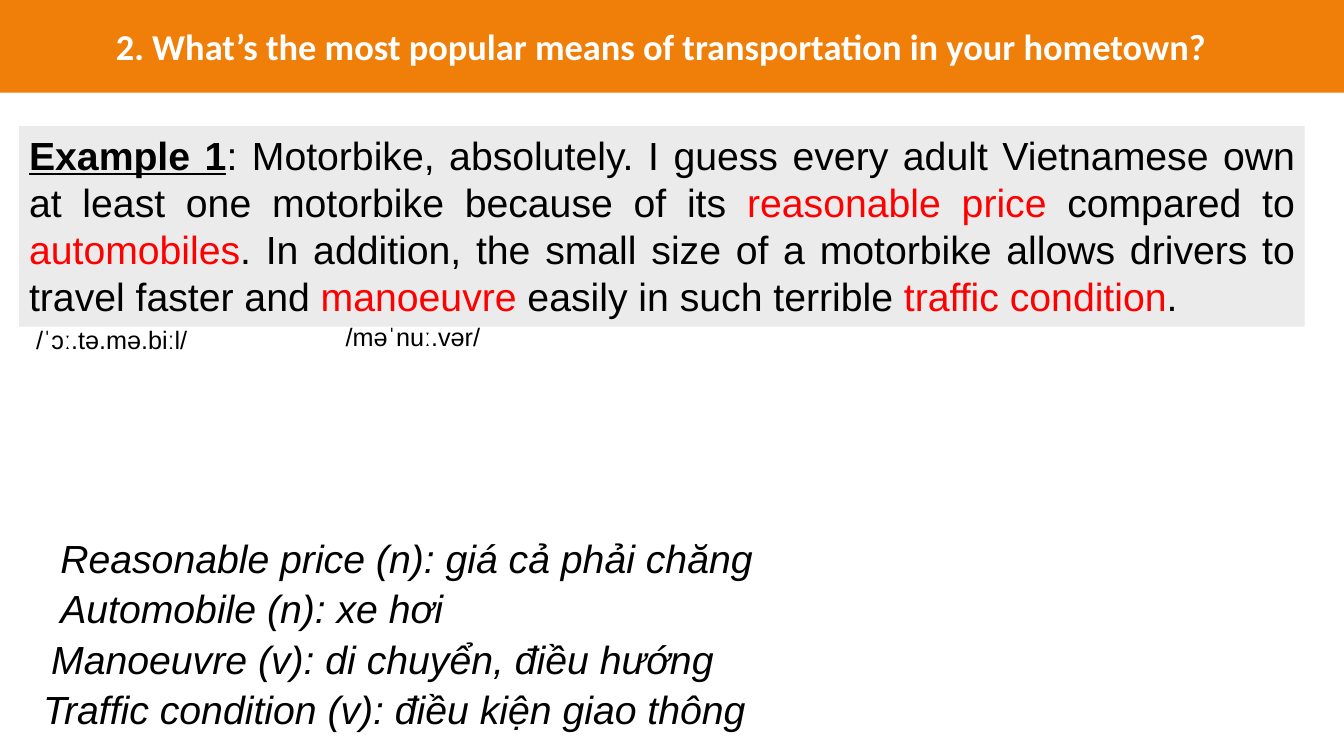
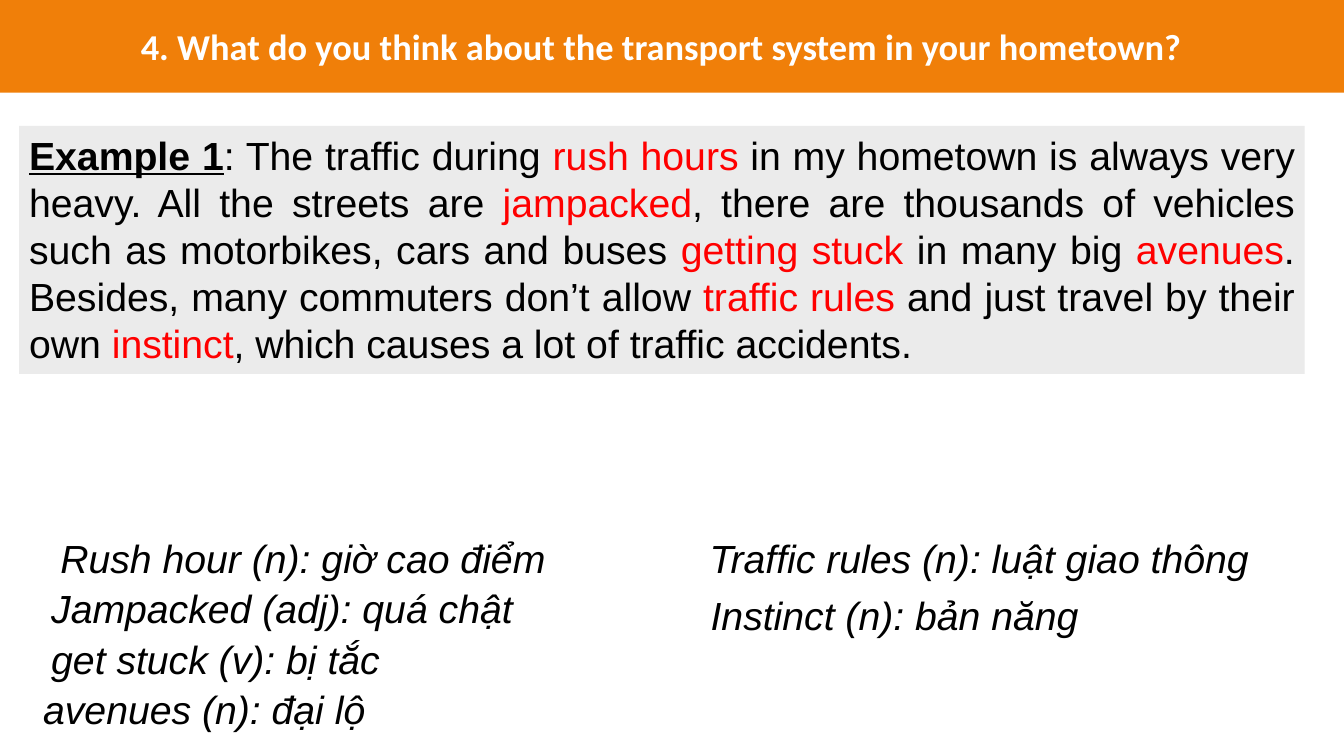
from pptx import Presentation
from pptx.dml.color import RGBColor
from pptx.enum.shapes import MSO_SHAPE
from pptx.enum.text import MSO_ANCHOR, MSO_AUTO_SIZE, PP_ALIGN
from pptx.util import Inches, Pt

ORANGE, GREY, RED, BLACK, WHITE = "F07F09", "EBEBEB", "FF0000", "000000", "FFFFFF"
SLIDE_WIDTH, SLIDE_HEIGHT = 13.33, 7.5
BAND_HEIGHT = 0.92
PANEL_LEFT, PANEL_TOP, PANEL_WIDTH = 0.19, 1.25, 12.75
GLOSSARY_TOP = 5.25

SLIDES = [
    {
        "title": "2. What’s the most popular means of transportation in your hometown?",
        "answer": ": Motorbike, absolutely. I guess every adult Vietnamese own at least one motorbike "
                  "because of its *reasonable price* compared to *automobiles*. In addition, the small "
                  "size of a motorbike allows drivers to travel faster and *manoeuvre* easily in such "
                  "terrible *traffic condition*.",
        "panel_height": 1.99,
        "phonetics": [(3.33, 3.14, "/məˈnuː.vər/"), (0.26, 3.17, "/ˈɔː.tə.mə.biːl/")],
        "glossary": [
            (7.5, 0.5, [
                (0.5, "Reasonable price (n): giá cả phải chăng"),
                (0.5, "Automobile (n): xe hơi"),
                (0.41, "Manoeuvre (v): di chuyển, điều hướng"),
                (0.33, "Traffic condition (v): điều kiện giao thông"),
            ]),
        ],
    },
    {
        "title": "4. What do you think about the transport system in your hometown?",
        "answer": ": The traffic during *rush hours* in my hometown is always very heavy. All the "
                  "streets are *jampacked*, there are thousands of vehicles such as motorbikes, cars "
                  "and buses *getting stuck* in many big *avenues*. Besides, many commuters don’t allow "
                  "*traffic rules* and just travel by their own *instinct*, which causes a lot of "
                  "traffic accidents.",
        "panel_height": 2.46,
        "phonetics": [],
        "glossary": [
            (6, 0.5, [
                (0.5, "Rush hour (n): giờ cao điểm"),
                (0.41, "Jampacked (adj): quá chật"),
                (0.41, "get stuck (v): bị tắc"),
                (0.33, "avenues (n): đại lộ"),
            ]),
            (6, 0.57, [
                (6.94, "Traffic rules (n): luật giao thông"),
                (6.95, "Instinct (n): bản năng"),
            ]),
        ],
    },
]


def color(value):
    """Turn a hex string into a colour."""
    return RGBColor.from_string(value)


def add_text(paragraph, text, size=28, font="Arial", fill=BLACK, bold=False, italic=False, underline=False):
    """Append one formatted run to a paragraph."""
    run = paragraph.add_run()
    run.text = text
    run.font.size = Pt(size)
    run.font.name = font
    run.font.color.rgb = color(fill)
    run.font.bold = bold
    run.font.italic = italic
    run.font.underline = underline


def add_label(slide, left, top, width, height, text, **text_format):
    """Place a text box with a single formatted line."""
    box = slide.shapes.add_textbox(Inches(left), Inches(top), Inches(width), Inches(height))
    box.text_frame.word_wrap = True
    add_text(box.text_frame.paragraphs[0], text, **text_format)


def format_title(slide, text):
    """Turn the title placeholder into the orange heading band."""
    title = slide.shapes.title
    title.left, title.top = Inches(0), Inches(0)
    title.width, title.height = Inches(SLIDE_WIDTH), Inches(BAND_HEIGHT)
    title.fill.solid()
    title.fill.fore_color.rgb = color(ORANGE)
    frame = title.text_frame
    frame.auto_size = MSO_AUTO_SIZE.NONE
    frame.vertical_anchor = MSO_ANCHOR.MIDDLE
    frame.margin_right = Inches(0.3)
    paragraph = frame.paragraphs[0]
    paragraph.alignment = PP_ALIGN.CENTER
    add_text(paragraph, text, size=26, font="Calibri", fill=WHITE, bold=True)


def add_example(slide, left, top, width, height, answer):
    """Draw the grey answer panel, with the words between asterisks in red."""
    panel = slide.shapes.add_shape(
        MSO_SHAPE.RECTANGLE, Inches(left), Inches(top), Inches(width), Inches(height))
    panel.shadow.inherit = False
    panel.fill.solid()
    panel.fill.fore_color.rgb = color(GREY)
    panel.line.fill.background()
    frame = panel.text_frame
    frame.word_wrap = True
    frame.vertical_anchor = MSO_ANCHOR.TOP
    paragraph = frame.paragraphs[0]
    paragraph.alignment = PP_ALIGN.JUSTIFY
    add_text(paragraph, "Example 1", bold=True, underline=True)
    for index, part in enumerate(answer.split("*")):
        add_text(paragraph, part, fill=RED if index % 2 else BLACK)


def add_glossary(slide, top, width, pitch, entries):
    """Stack one column of vocabulary entries at an even pitch."""
    for row, (left, entry) in enumerate(entries):
        add_label(slide, left, top + row * pitch, width, 0.57, entry, italic=True)


def add_question_slide(presentation, content):
    """Build one question slide with its answer and vocabulary."""
    slide = presentation.slides.add_slide(presentation.slide_layouts[5])
    format_title(slide, content["title"])
    add_example(slide, PANEL_LEFT, PANEL_TOP, PANEL_WIDTH, content["panel_height"], content["answer"])
    for left, top, sounds in content["phonetics"]:
        add_label(slide, left, top, 2, 0.4, sounds, size=18)
    for width, pitch, entries in content["glossary"]:
        add_glossary(slide, GLOSSARY_TOP, width, pitch, entries)


def main():
    """Build and save the presentation."""
    presentation = Presentation()
    presentation.slide_width = Inches(SLIDE_WIDTH)
    presentation.slide_height = Inches(SLIDE_HEIGHT)
    for content in SLIDES:
        add_question_slide(presentation, content)
    presentation.save("out.pptx")


if __name__ == "__main__":
    main()
